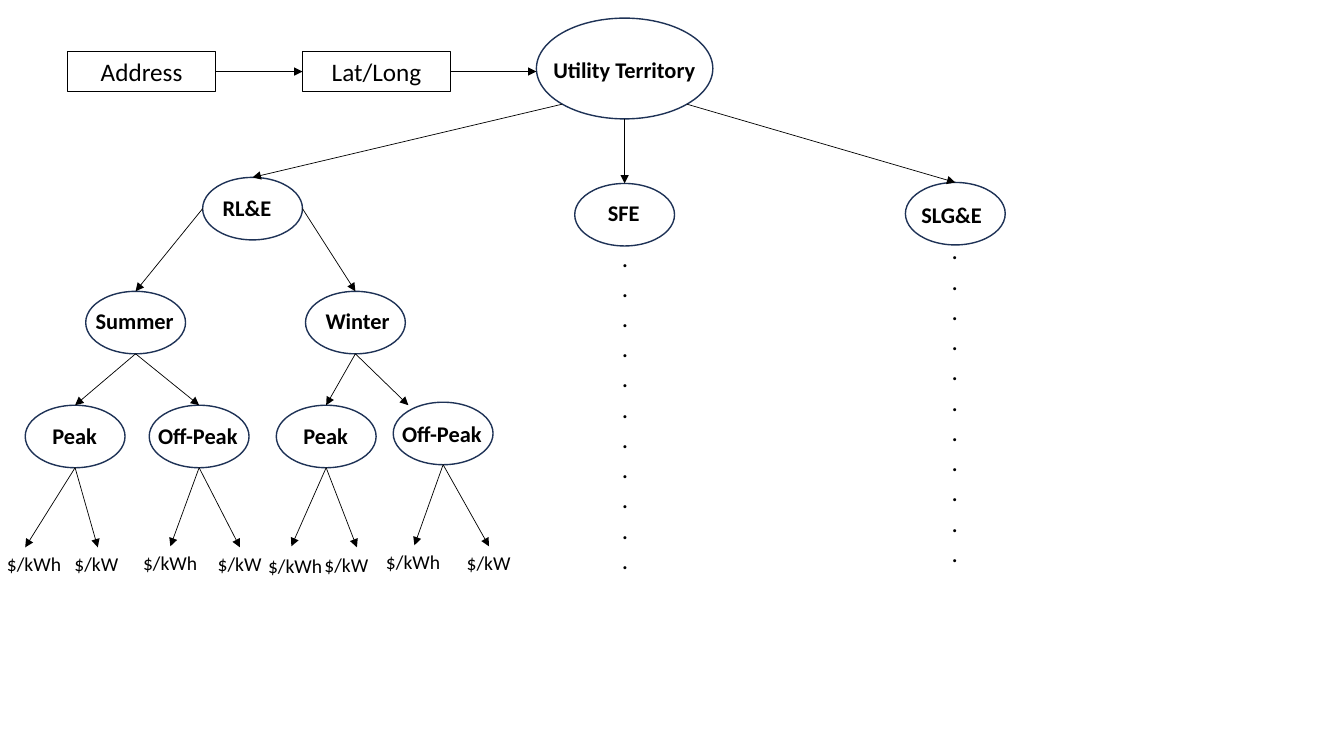
import pptx
import pptx.util
import pptx.dml.color
import pptx.enum.shapes
import pptx.enum.text
import pptx.oxml
import pptx.oxml.ns

PX = 9144
BLACK = pptx.dml.color.RGBColor(0x00, 0x00, 0x00)
NAVY = pptx.dml.color.RGBColor(0x1E, 0x32, 0x56)
FONT = "Calibri"
OVAL = (99, 62)
LABEL_H, RATE_H = 37, 34
SITES = {"left": (0, 0.5), "right": (1, 0.5), "bottom": (0.5, 1),
         "bottom left": (0.146, 0.854), "bottom right": (0.854, 0.854)}

BOXES = [("Address", 67), ("Lat/Long", 300)]
BOX_TOP, BOX_W, BOX_H = 51, 147, 40

NODES = {
    "territory": ("Utility Territory", 532, 18, (175, 100), 539, 51, 163),
    "first": ("RL&E", 201, 176, OVAL, 211, 188, 73),
    "second": ("SFE", 570, 182, OVAL, 593, 193, 54),
    "third": ("SLG&E", 898, 181, OVAL, 904, 195, 86),
    "summer": ("Summer", 85, 289, OVAL, 85, 300, 99),
    "winter": ("Winter", 303, 289, OVAL, 313, 300, 85),
    "summer peak": ("Peak", 25, 402, OVAL, 42, 414, 65),
    "summer off-peak": ("Off-Peak", 148, 402, OVAL, 147, 414, 101),
    "winter peak": ("Peak", 274, 402, OVAL, 291, 414, 65),
    "winter off-peak": ("Off-Peak", 390, 399, OVAL, 389, 412, 101),
}
BRANCHES = [
    ("territory", "bottom left", "first"), ("territory", "bottom", "second"),
    ("territory", "bottom right", "third"),
    ("first", "left", "summer"), ("first", "right", "winter"),
    ("summer", "bottom", "summer peak"), ("summer", "bottom", "summer off-peak"),
    ("winter", "bottom", "winter peak"),
]
WINTER_OFF_PEAK_TIP = (405, 402)
RATES = [
    ("summer peak", "$/kWh", (25, 543), -3, 543),
    ("summer peak", "$/kW", (97, 543), 64, 543),
    ("summer off-peak", "$/kWh", (169, 542), 132, 542),
    ("summer off-peak", "$/kW", (238, 543), 206, 543),
    ("winter peak", "$/kWh", (289, 542), 256, 545),
    ("winter peak", "$/kW", (354, 543), 312, 544),
    ("winter off-peak", "$/kWh", (411, 541), 373, 541),
    ("winter off-peak", "$/kW", (485, 542), 453, 542),
]
RATE_W = {"$/kWh": 75, "$/kW": 64}
DOTS = "\n".join(["."] * 11)
DOT_COLUMNS = [(607, 235), (934, 228)]


def emu(*lengths):
    return [round(n * PX) for n in lengths]


def write(tf, text, size, bold=False, align=None):
    tf.text = text
    for p in tf.paragraphs:
        p.alignment = align
        for r in p.runs:
            r.font.name = FONT
            r.font.size = pptx.util.Pt(size)
            r.font.bold = bold
            r.font.color.rgb = BLACK


def add_text(text, left, top, width, height, size, bold=False):
    tf = shapes.add_textbox(*emu(left, top, width, height)).text_frame
    tf.word_wrap = False
    tf.auto_size = pptx.enum.text.MSO_AUTO_SIZE.SHAPE_TO_FIT_TEXT
    write(tf, text, size, bold)


def add_outline(kind, left, top, width, height, color, weight):
    sp = shapes.add_shape(kind, *emu(left, top, width, height))
    sp.shadow.inherit = False
    sp.fill.background()
    sp.line.color.rgb = color
    sp.line.width = pptx.util.Pt(weight)
    return sp


def add_arrow(start, end):
    line = shapes.add_connector(pptx.enum.shapes.MSO_CONNECTOR.STRAIGHT,
                                *emu(*start, *end))
    line.line.color.rgb = BLACK
    line.line.width = pptx.util.Pt(0.5)
    ns = pptx.oxml.ns.nsdecls("a")
    line.line._get_or_add_ln().append(
        pptx.oxml.parse_xml(f'<a:tailEnd {ns} type="triangle"/>'))
    line._element.spPr.append(pptx.oxml.parse_xml(f"<a:effectLst {ns}/>"))
    return line


def site(name, side):
    left, top, (width, height) = NODES[name][1:4]
    fx, fy = SITES[side]
    return left + width * fx, top + height * fy


prs = pptx.Presentation()
prs.slide_width, prs.slide_height = emu(1333, 750)
shapes = prs.slides.add_slide(prs.slide_layouts[6]).shapes

ovals = {}
for name, (label, left, top, size, tx, ty, tw) in NODES.items():
    ovals[name] = add_outline(pptx.enum.shapes.MSO_SHAPE.OVAL,
                              left, top, *size, NAVY, 1)
    add_text(label, tx, ty, tw, LABEL_H, 16, True)

boxes = []
for label, left in BOXES:
    sp = add_outline(pptx.enum.shapes.MSO_SHAPE.RECTANGLE,
                     left, BOX_TOP, BOX_W, BOX_H, BLACK, 0.75)
    sp.text_frame.word_wrap = True
    write(sp.text_frame, label, 18, align=pptx.enum.text.PP_ALIGN.CENTER)
    boxes.append(sp)

address, lat_long = boxes
middle = BOX_TOP + BOX_H / 2
line = add_arrow((BOXES[0][1] + BOX_W, middle), (BOXES[1][1], middle))
line.begin_connect(address, 3)
line.end_connect(lat_long, 1)
line = add_arrow((BOXES[1][1] + BOX_W, middle), (NODES["territory"][1], middle))
line.begin_connect(lat_long, 3)

for parent, side, child in BRANCHES:
    left, top, (width, height) = NODES[child][1:4]
    line = add_arrow(site(parent, side), (left + width / 2, top))
    line.end_connect(ovals[child], 0)
add_arrow(site("winter", "bottom"), WINTER_OFF_PEAK_TIP)

for name, rate, tip, left, top in RATES:
    add_arrow(site(name, "bottom"), tip)
    add_text(rate, left, top, RATE_W[rate], RATE_H, 14)

for left, top in DOT_COLUMNS:
    add_text(DOTS, left, top, 27, 343, 18)

prs.save("out.pptx")
